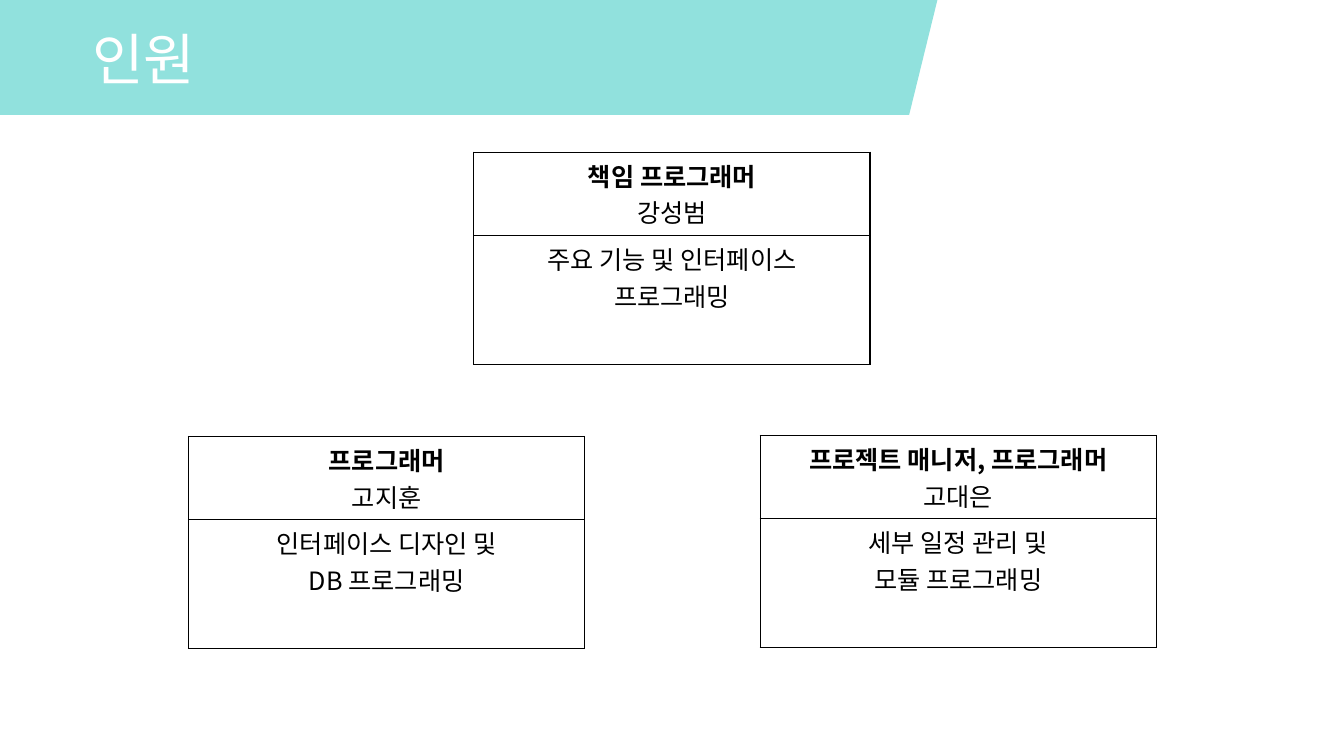
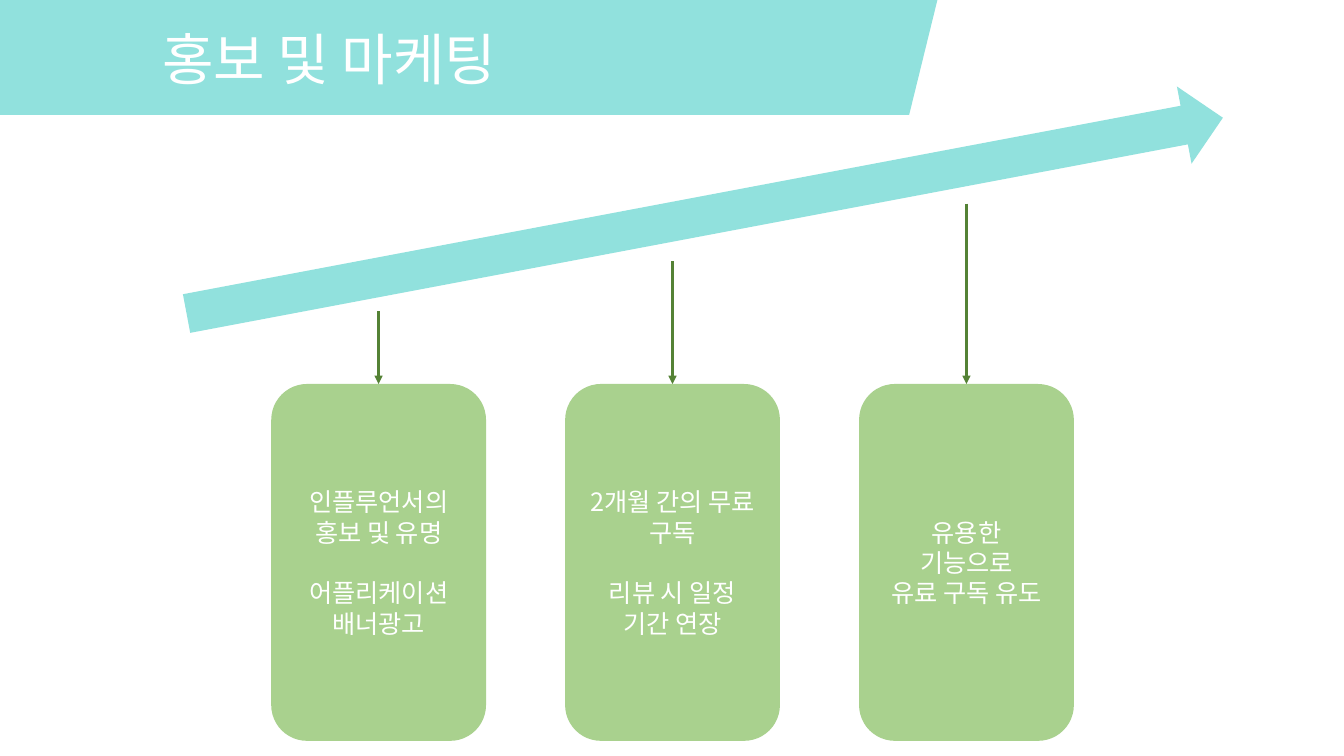
from lxml.etree import SubElement
from pptx import Presentation
from pptx.dml.color import RGBColor
from pptx.enum.shapes import MSO_CONNECTOR, MSO_SHAPE
from pptx.enum.text import MSO_ANCHOR, PP_ALIGN
from pptx.oxml.ns import qn
from pptx.util import Inches, Pt

WIDE, HIGH = Inches(13.33), Inches(7.5)
FONT = "Noto Sans CJK KR"
AQUA, GREEN, DARK = "91E1DD", "A9D18E", "548235"
BLACK, WHITE = "000000", "FFFFFF"


def across(share):
    return round(WIDE * share / 100)


def down(share):
    return round(HIGH * share / 100)


def place(left, top, width, height):
    return across(left), down(top), across(width), down(height)


def paint(target, color):
    target.solid()
    target.fore_color.rgb = RGBColor.from_string(color)


def write(para, text, size, color, bold=False):
    run = para.add_run()
    run.text = text
    run.font.size = Pt(size)
    run.font.bold = bold
    run.font.name = FONT
    paint(run.font.fill, color)
    SubElement(run.font.fill._xPr, qn("a:ea"), typeface=FONT)


def fill_lines(frame, lines, color, heads=0, gaps=()):
    frame.word_wrap = True
    for row, text in enumerate(lines):
        para = frame.add_paragraph() if row else frame.paragraphs[0]
        para.alignment = PP_ALIGN.CENTER
        if row in gaps:
            para.space_before = Pt(21.7)
        write(para, text, 18, color, row < heads)


def flat(shape, color):
    shape.shadow.inherit = False
    paint(shape.fill, color)
    shape.line.fill.background()
    return shape


def add_title(slide, text, left, width):
    base = down(15.2)
    pen = slide.shapes.build_freeform(0, 0)
    pen.add_line_segments([(across(69.75), 0), (across(67.65), base), (0, base)])
    flat(pen.convert_to_shape(), AQUA)
    box = slide.shapes.add_textbox(*place(left, 2.53, width, 10.27))
    box.text_frame.word_wrap = True
    write(box.text_frame.paragraphs[0], text, 40, WHITE)


def edge(cell):
    props = cell._tc.get_or_add_tcPr()
    for spot, side in enumerate(("a:lnL", "a:lnR", "a:lnT", "a:lnB")):
        line = SubElement(props, qn(side), w=str(Pt(1)))
        solid = SubElement(line, qn("a:solidFill"))
        SubElement(solid, qn("a:srgbClr"), val=BLACK)
        props.insert(spot, line)


def add_role(slide, left, top, role, name, tasks):
    head, body = 11, 17.07
    table = slide.shapes.add_table(2, 1, *place(left, top, 29.48, head + body)).table
    table.first_row = table.horz_banding = False
    parts = (((role, name), head, 1), (tasks, body, 0))
    for row, (lines, height, heads) in enumerate(parts):
        table.rows[row].height = down(height)
        cell = table.cell(row, 0)
        cell.fill.background()
        edge(cell)
        fill_lines(cell.text_frame, lines, BLACK, heads)


def add_step(slide, left, start, lines, gaps):
    top, width = 50.8, 15.98
    card = slide.shapes.add_shape(MSO_SHAPE.ROUNDED_RECTANGLE, *place(left, top, width, 47.2))
    flat(card, GREEN)
    card.text_frame.vertical_anchor = MSO_ANCHOR.MIDDLE
    fill_lines(card.text_frame, lines, WHITE, gaps=gaps)
    mid = across(left + width / 2)
    link = slide.shapes.add_connector(MSO_CONNECTOR.STRAIGHT, mid, down(start), mid, down(top))
    link.line.width = Pt(1.75)
    paint(link.line.fill, DARK)
    SubElement(link.line._get_or_add_ln(), qn("a:tailEnd"), type="triangle")
    SubElement(link._element.spPr, qn("a:effectLst"))


def add_trend(slide):
    arrow = slide.shapes.add_shape(MSO_SHAPE.RIGHT_ARROW, *place(13.2, 23.33, 78.47, 10.4))
    flat(arrow, AQUA).rotation = 349.3


def main():
    deck = Presentation()
    deck.slide_width, deck.slide_height = WIDE, HIGH
    blank = deck.slide_layouts[6]

    team = deck.slides.add_slide(blank)
    add_title(team, "인원", 6.15, 28.9)
    roles = (
        (35.26, 20.13, "책임 프로그래머", "강성범", ("주요 기능 및 인터페이스", "프로그래밍")),
        (56.56, 57.6, "프로젝트 매니저, 프로그래머", "고대은", ("세부 일정 관리 및", "모듈 프로그래밍")),
        (14.03, 57.73, "프로그래머", "고지훈", ("인터페이스 디자인 및", "DB 프로그래밍")),
    )
    for role in roles:
        add_role(team, *role)

    market = deck.slides.add_slide(blank)
    add_title(market, "홍보 및 마케팅", 11.33, 32.41)
    steps = (
        (41.2, ("인플루언서의 홍보 및 유명", "어플리케이션 배너광고"), (1,)),
        (34.53, ("2개월 간의 무료 구독", "리뷰 시 일정 기간 연장"), (1,)),
        (26.93, ("유용한", "기능으로", "유료 구독 유도"), ()),
    )
    for col, step in enumerate(steps):
        add_step(market, 20.18 + 21.87 * col, *step)
    add_trend(market)

    deck.save("out.pptx")


if __name__ == "__main__":
    main()
